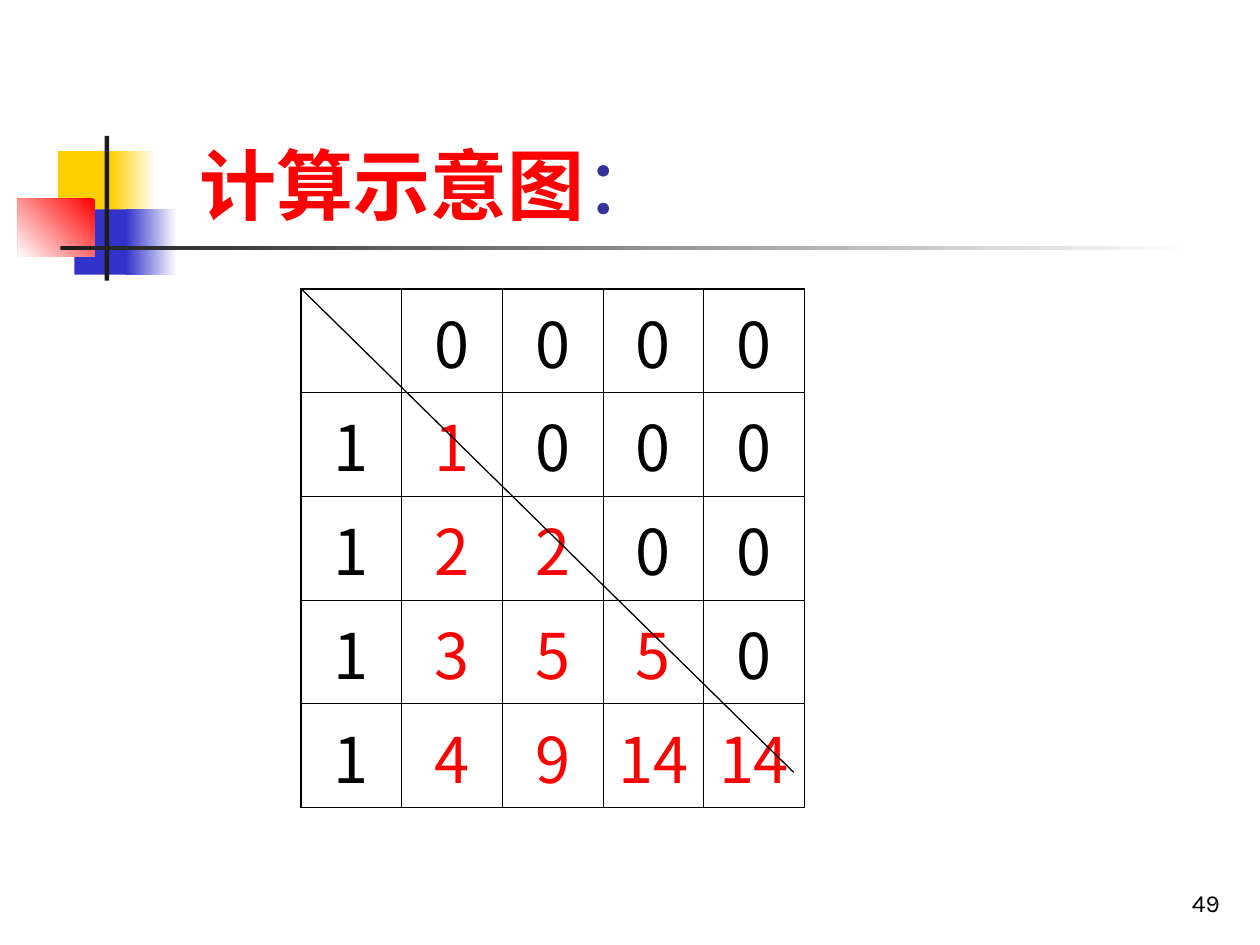
from dataclasses import dataclass
from typing import Optional

from lxml.etree import SubElement
from pptx import Presentation
from pptx.dml.color import RGBColor
from pptx.enum.shapes import MSO_CONNECTOR, MSO_SHAPE
from pptx.enum.text import MSO_ANCHOR, MSO_AUTO_SIZE, PP_ALIGN
from pptx.oxml.ns import qn
from pptx.util import Cm, Pt

COLORS = {
    "yellow": "FFCF01", "blue": "3333CC", "red": "FF0000", "dark": "1C1C1C",
    "white": "FFFFFF", "black": "000000", "navy": "333399",
}
TITLE_FONT, TABLE_FONT = "Karla", "Noto Sans CJK KR"
THIN, THICK = 0.45, 1.08

# Lower triangle of the computation; cells above the diagonal are 0
TRIANGLE = [[""], [1, 1], [1, 2, 2], [1, 3, 5, 5], [1, 4, 9, 14, 14]]
SIZE = len(TRIANGLE)
CELL_WIDTH, CELL_HEIGHT = 2.03, 1.98
TABLE_LEFT, TABLE_TOP = 6.07, 5.82


@dataclass
class Block:
    """A decorative rectangle in cm, optionally fading to a second colour."""
    left: float
    top: float
    width: float
    height: float
    color: str
    fade_to: Optional[str] = None
    angle: float = 0


BLOCKS = [
    Block(1.17, 3.05, 1.22, 1.32, "yellow"),
    Block(2.24, 3.05, 0.91, 1.32, "yellow", "white"),
    Block(1.5, 4.22, 1.17, 1.32, "blue"),
    Block(2.54, 4.22, 1.02, 1.32, "blue", "white"),
    Block(0.36, 4.01, 1.55, 1.17, "red", "white", 225),
    Block(2.11, 2.74, 0.09, 2.92, "dark"),
    Block(1.22, 4.95, 22.86, 0.09, "dark", "white"),
]


def rgb(name: str) -> RGBColor:
    return RGBColor.from_string(COLORS[name])


def draw_block(slide, block: Block) -> None:
    shape = slide.shapes.add_shape(
        MSO_SHAPE.RECTANGLE, Cm(block.left), Cm(block.top), Cm(block.width), Cm(block.height))
    shape.shadow.inherit = False
    shape.line.fill.background()
    if block.fade_to is None:
        shape.fill.solid()
        shape.fill.fore_color.rgb = rgb(block.color)
        return
    shape.fill.gradient()
    shape.fill.gradient_angle = block.angle
    for stop, color in zip(shape.fill.gradient_stops, (block.color, block.fade_to)):
        stop.color.rgb = rgb(color)


def set_title(slide) -> None:
    title = slide.shapes.title
    title.left, title.top, title.width, title.height = Cm(3.76), Cm(0.71), Cm(12.14), Cm(4.06)
    frame = title.text_frame
    frame.auto_size = MSO_AUTO_SIZE.NONE
    frame.vertical_anchor = MSO_ANCHOR.BOTTOM
    paragraph = frame.paragraphs[0]
    paragraph.alignment = PP_ALIGN.LEFT
    paragraph.font.size = Pt(44)
    paragraph.font.name = TITLE_FONT
    for text, color, bold in (("计算示意图", "red", True), ("：", "navy", False)):
        run = paragraph.add_run()
        run.text = text
        run.font.color.rgb = rgb(color)
        run.font.bold = bold


def set_borders(cell, row: int, column: int) -> None:
    outer = {"lnL": column == 0, "lnR": column == SIZE - 1,
             "lnT": row == 0, "lnB": row == SIZE - 1}
    properties = cell._tc.get_or_add_tcPr()
    for side, is_outer in outer.items():
        line = SubElement(properties, qn(f"a:{side}"), w=str(Pt(THICK if is_outer else THIN)))
        fill = SubElement(line, qn("a:solidFill"))
        SubElement(fill, qn("a:srgbClr"), val=COLORS["black"])


def draw_table(slide) -> None:
    table = slide.shapes.add_table(
        SIZE, SIZE, Cm(TABLE_LEFT), Cm(TABLE_TOP),
        Cm(SIZE * CELL_WIDTH), Cm(SIZE * CELL_HEIGHT)).table
    table.first_row = table.horz_banding = False
    for row, values in enumerate(TRIANGLE):
        for column in range(SIZE):
            cell = table.cell(row, column)
            set_borders(cell, row, column)
            cell.fill.background()
            cell.text = str(values[column]) if column <= row else "0"
            paragraph = cell.text_frame.paragraphs[0]
            paragraph.alignment = PP_ALIGN.CENTER
            paragraph.space_before = Pt(9)
            paragraph.font.size = Pt(36)
            paragraph.font.name = TABLE_FONT
            paragraph.font.color.rgb = rgb("red" if 1 <= column <= row else "black")


def draw_diagonal(slide) -> None:
    line = slide.shapes.add_connector(
        MSO_CONNECTOR.STRAIGHT, Cm(TABLE_LEFT), Cm(TABLE_TOP), Cm(16), Cm(15.57))
    line.line.color.rgb = rgb("black")
    line.line.width = Pt(0.75)
    SubElement(line._element.spPr, qn("a:effectLst"))


def draw_page_number(slide) -> None:
    frame = slide.shapes.add_textbox(Cm(19.56), Cm(17.35), Cm(5.28), Cm(1.27)).text_frame
    frame.word_wrap = True
    frame.vertical_anchor = MSO_ANCHOR.BOTTOM
    frame.text = "49"
    paragraph = frame.paragraphs[0]
    paragraph.alignment = PP_ALIGN.RIGHT
    paragraph.font.size = Pt(14)
    paragraph.font.name = TITLE_FONT
    paragraph.font.color.rgb = rgb("black")


def main() -> None:
    presentation = Presentation()
    presentation.slide_width, presentation.slide_height = Cm(25.4), Cm(19.05)
    slide = presentation.slides.add_slide(presentation.slide_layouts[5])  # title only
    for block in BLOCKS:
        draw_block(slide, block)
    set_title(slide)
    draw_table(slide)
    draw_diagonal(slide)
    draw_page_number(slide)
    presentation.save("out.pptx")


if __name__ == "__main__":
    main()
